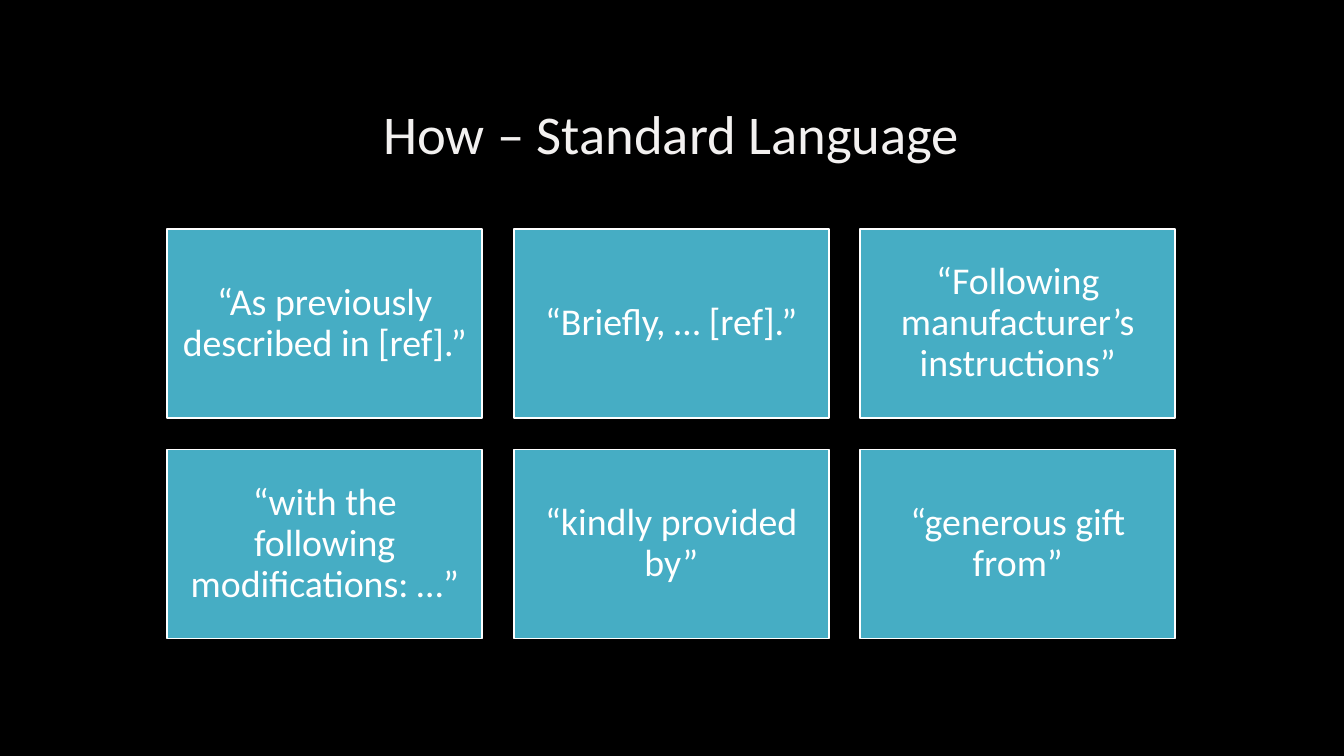
"""Build the slide of standard phrases for describing methods."""
from pptx import Presentation
from pptx.dml.color import RGBColor
from pptx.enum.shapes import MSO_SHAPE
from pptx.enum.text import MSO_ANCHOR, PP_ALIGN
from pptx.util import Pt

COLORS = {"background": "000000", "heading": "F3F1F0", "card": "46ADC4", "white": "FFFFFF"}
PHRASES = [
    "“As previously described in [ref].”",
    "“Briefly, … [ref].”",
    "“Following manufacturer’s instructions”",
    "“with the following modifications: …”",
    "“kindly provided by”",
    "“generous gift from”",
]
COLUMNS = 3
CARD_WIDTH, CARD_HEIGHT, GAP = 225, 135, 22.5
GRID_LEFT, GRID_TOP = 119.5, 163.5


def color(name):
    return RGBColor.from_string(COLORS[name])


def write(frame, text, *, size, fill, font="Calibri", inset=None):
    frame.word_wrap = True
    frame.vertical_anchor = MSO_ANCHOR.MIDDLE
    if inset is not None:
        frame.margin_left = frame.margin_right = Pt(inset)
        frame.margin_top = frame.margin_bottom = Pt(inset)
    paragraph = frame.paragraphs[0]
    paragraph.alignment = PP_ALIGN.CENTER
    paragraph.line_spacing = 0.9
    run = paragraph.add_run()
    run.text = text
    run.font.name = font
    run.font.size = Pt(size)
    run.font.color.rgb = color(fill)


class PhraseSlide:
    def __init__(self, presentation):
        self.slide = presentation.slides.add_slide(presentation.slide_layouts[6])
        background = self.slide.background.fill
        background.solid()
        background.fore_color.rgb = color("background")

    def heading(self, text, left, top, width, height):
        heading = self.slide.shapes.add_textbox(Pt(left), Pt(top), Pt(width), Pt(height))
        write(heading.text_frame, text, size=39, fill="heading")

    def card(self, text, left, top, width, height):
        card = self.slide.shapes.add_shape(
            MSO_SHAPE.RECTANGLE, Pt(left), Pt(top), Pt(width), Pt(height))
        card.shadow.inherit = False
        card.fill.solid()
        card.fill.fore_color.rgb = color("card")
        card.line.color.rgb = color("white")
        card.line.width = Pt(1.25)
        write(card.text_frame, text, size=27, fill="white", inset=8)


def main():
    presentation = Presentation()
    presentation.slide_width, presentation.slide_height = Pt(960), Pt(540)
    language = PhraseSlide(presentation)
    language.heading("How – Standard Language", 72, 48, 815, 99)
    for index, phrase in enumerate(PHRASES):
        row, column = divmod(index, COLUMNS)
        language.card(phrase, GRID_LEFT + column * (CARD_WIDTH + GAP),
                      GRID_TOP + row * (CARD_HEIGHT + GAP), CARD_WIDTH, CARD_HEIGHT)
    presentation.save("out.pptx")


if __name__ == "__main__":
    main()
